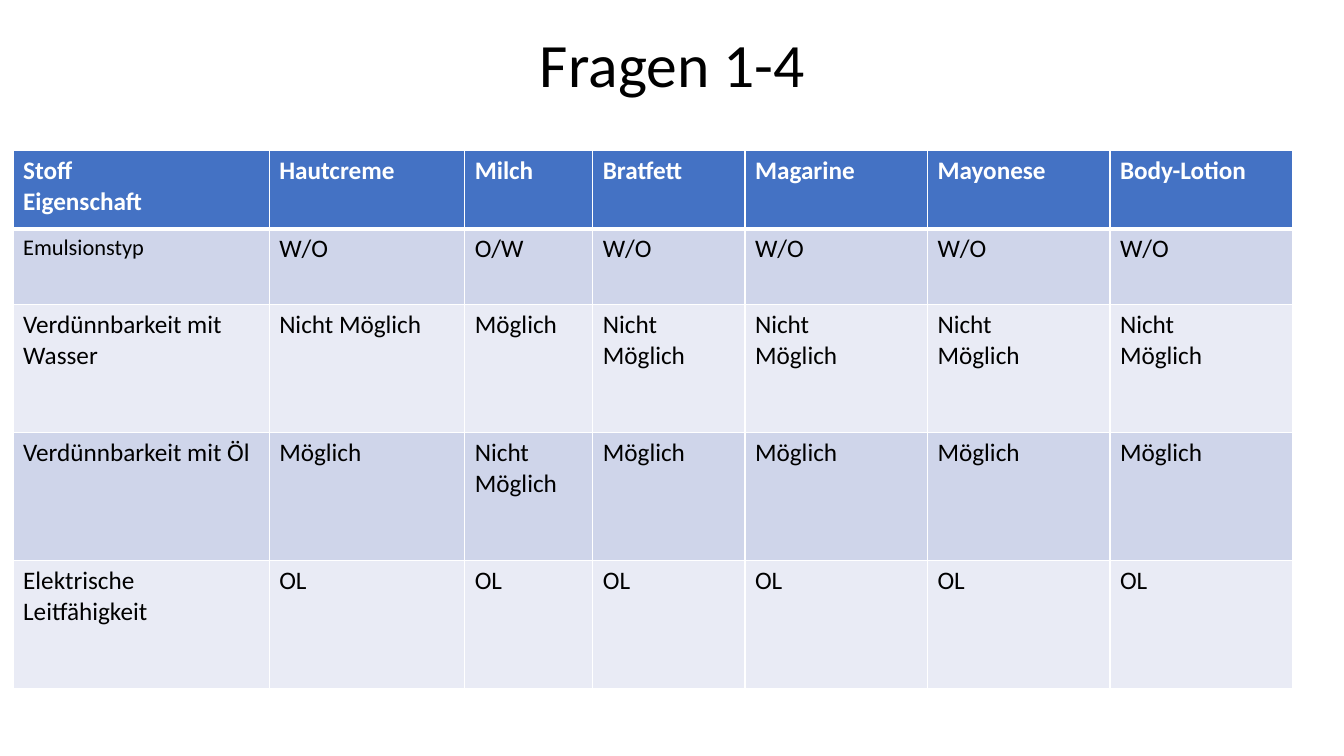
import dataclasses
import lxml.etree
import pptx
import pptx.dml.color
import pptx.enum.text
import pptx.oxml.ns
import pptx.table
import pptx.text.text
import pptx.util

RGBColor = pptx.dml.color.RGBColor
Inches = pptx.util.Inches

BLACK = RGBColor(0x00, 0x00, 0x00)
WHITE = RGBColor(0xFF, 0xFF, 0xFF)
BLUE = RGBColor(0x44, 0x72, 0xC4)
DARK = RGBColor(0xCF, 0xD5, 0xEA)
LIGHT = RGBColor(0xE9, 0xEB, 0xF5)
FONT = "Calibri"


@dataclasses.dataclass
class Row:
    high: float
    fill: RGBColor
    cells: list[str]
    head: bool = False
    first: int = 18  # text size of the first cell


WIDTHS = [2.54, 1.94, 1.27, 1.51, 1.81, 1.81, 1.81]
NO = "Nicht Möglich"
SPLIT = "Nicht\nMöglich"
YES = "Möglich"
ROWS = [
    Row(0.78, BLUE, ["Stoff\nEigenschaft", "Hautcreme", "Milch", "Bratfett",
                     "Magarine", "Mayonese", "Body-Lotion"], head=True),
    Row(0.75, DARK, ["Emulsionstyp", "W/O", "O/W"] + ["W/O"] * 4, first=16),
    Row(1.27, LIGHT, ["Verdünnbarkeit mit Wasser", NO, YES, NO] + [SPLIT] * 3),
    Row(1.27, DARK, ["Verdünnbarkeit mit Öl", YES, NO] + [YES] * 4),
    Row(1.27, LIGHT, ["Elektrische Leitfähigkeit"] + ["OL"] * 6),
]


def write(para: pptx.text.text._Paragraph, text: str, size: int,
          color: RGBColor, bold: bool = False) -> None:
    run = para.add_run()
    run.text = text
    run.font.name = FONT
    run.font.size = pptx.util.Pt(size)
    run.font.bold = bold
    run.font.color.rgb = color


def edge(cell: pptx.table._Cell, below: int, above: int) -> None:
    """Give the cell white borders; below and above are in points."""
    qn = pptx.oxml.ns.qn
    props = cell._tc.get_or_add_tcPr()
    sides = {"lnL": 1, "lnR": 1, "lnT": above, "lnB": below}
    for spot, (tag, width) in enumerate(sides.items()):
        line = lxml.etree.Element(qn("a:" + tag), w=str(pptx.util.Pt(width)))
        fill = lxml.etree.SubElement(line, qn("a:solidFill"))
        lxml.etree.SubElement(fill, qn("a:srgbClr"), val=str(WHITE))
        props.insert(spot, line)


def fill_cell(cell: pptx.table._Cell, text: str, row: Row, size: int,
              above: int) -> None:
    cell.fill.solid()
    cell.fill.fore_color.rgb = row.fill
    edge(cell, 3 if row.head else 1, above)
    frame = cell.text_frame
    for num, part in enumerate(text.split("\n")):
        para = frame.add_paragraph() if num else frame.paragraphs[0]
        write(para, part, size, WHITE if row.head else BLACK, row.head)


def main() -> None:
    deck = pptx.Presentation()
    deck.slide_width, deck.slide_height = Inches(13.33), Inches(7.5)
    slide = deck.slides.add_slide(deck.slide_layouts[5])

    # Title
    title = slide.shapes.title
    title.left, title.top = Inches(0.92), Inches(-0.05)
    title.width, title.height = Inches(11.5), Inches(1.45)
    title.text_frame.vertical_anchor = pptx.enum.text.MSO_ANCHOR.MIDDLE
    para = title.text_frame.paragraphs[0]
    para.alignment = pptx.enum.text.PP_ALIGN.CENTER
    para.line_spacing = 0.9
    write(para, "Fragen 1-4", 44, BLACK)

    # Table of substances and their properties
    high = sum(row.high for row in ROWS)
    table = slide.shapes.add_table(
        len(ROWS), len(WIDTHS), Inches(0.13), Inches(1.49),
        Inches(sum(WIDTHS)), Inches(high)).table
    for col, width in zip(table.columns, WIDTHS):
        col.width = Inches(width)
    for y, row in enumerate(ROWS):
        table.rows[y].height = Inches(row.high)
        above = 3 if y and ROWS[y - 1].head else 1
        for x, text in enumerate(row.cells):
            size = 18 if x else row.first
            fill_cell(table.cell(y, x), text, row, size, above)

    deck.save("out.pptx")


if __name__ == "__main__":
    main()
